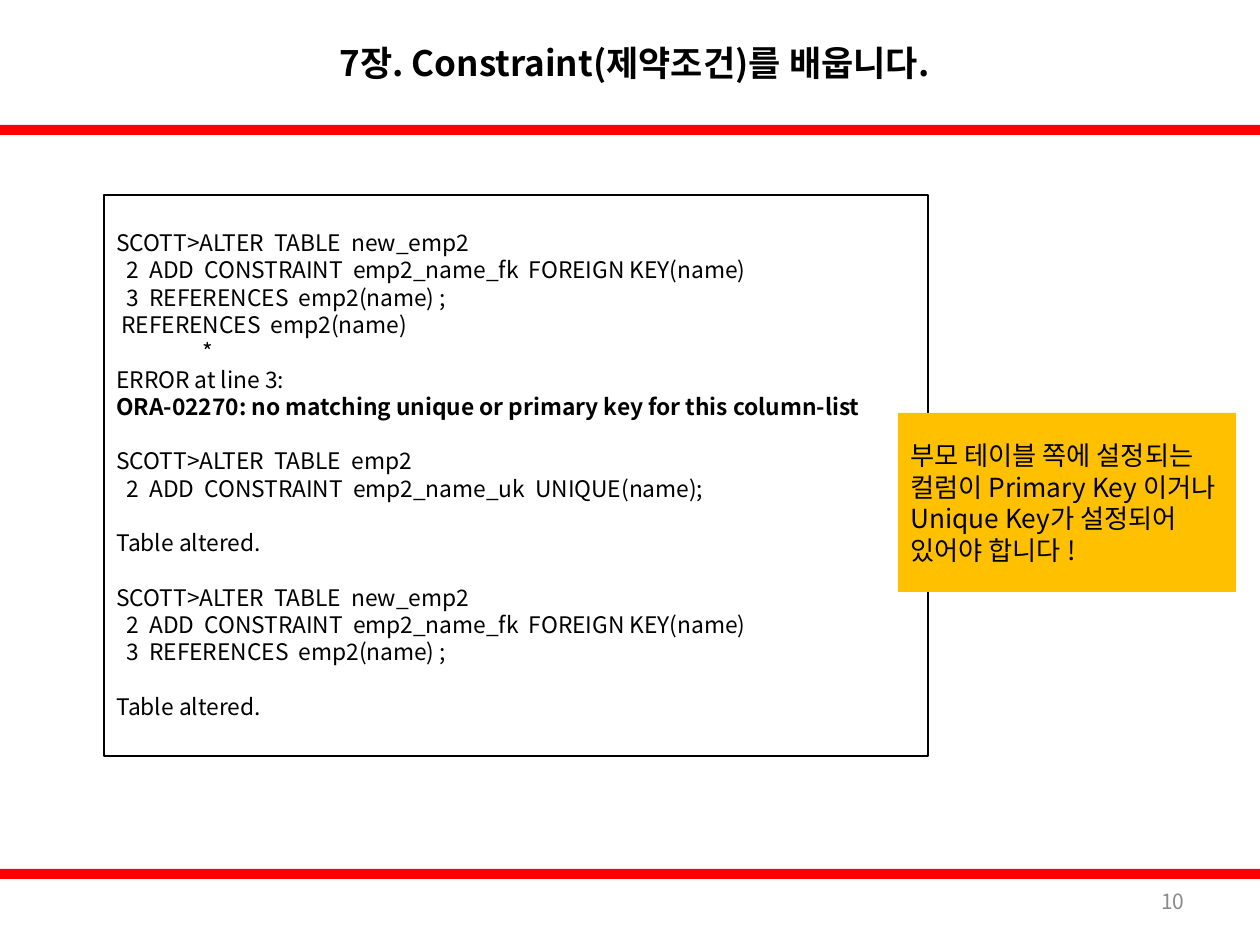
"""Build the slide on foreign key constraints with its SQL session and callout."""
from lxml.etree import SubElement
from pptx import Presentation
from pptx.dml.color import RGBColor
from pptx.enum.shapes import MSO_SHAPE as Shape
from pptx.enum.text import MSO_ANCHOR as Anchor, PP_ALIGN as Align
from pptx.oxml.ns import qn
from pptx.util import Pt

FONT = "Noto Sans CJK KR"
BLACK = RGBColor(0, 0, 0)
WHITE = RGBColor(255, 255, 255)
RED = RGBColor(255, 0, 0)
AMBER = RGBColor(255, 192, 0)
GRAY = RGBColor(140, 140, 140)
SCALE = 914400 / 126


def px(*lengths):
    return [round(length * SCALE) for length in lengths]


def write(paragraph, text, size, color=BLACK, bold=False, align=Align.LEFT, before=0, pitch=None):
    paragraph.alignment = align
    paragraph.space_before = Pt(before)
    paragraph.line_spacing = pitch and Pt(pitch)
    run = paragraph.add_run()
    run.text = text
    run.font.name = FONT
    run.font.size = Pt(size)
    run.font.bold = bold
    run.font.color.rgb = color
    SubElement(run.font._element, qn("a:ea"), typeface=FONT)


prs = Presentation()
prs.slide_width, prs.slide_height = px(1260, 945)
slide = prs.slides.add_slide(prs.slide_layouts[6])
shapes = slide.shapes

for top in (125, 869):
    bar = shapes.add_shape(Shape.RECTANGLE, *px(0, top, 1260, 10))
    bar.shadow.inherit = False
    bar.fill.solid()
    bar.fill.fore_color.rgb = RED
    bar.line.fill.background()

title = shapes.add_textbox(*px(213, 0, 843, 125)).text_frame
title.word_wrap = True
title.vertical_anchor = Anchor.MIDDLE
write(title.paragraphs[0], "7장. Constraint(제약조건)를 배웁니다.", size=20, bold=True, align=Align.CENTER)

page_number = shapes.add_textbox(*px(903, 876, 294, 50)).text_frame
page_number.word_wrap = True
page_number.vertical_anchor = Anchor.MIDDLE
write(page_number.paragraphs[0], "10", size=12, color=GRAY, align=Align.RIGHT)

session = shapes.add_shape(Shape.RECTANGLE, *px(104, 195, 824, 561))
session.shadow.inherit = False
session.fill.solid()
session.fill.fore_color.rgb = WHITE
session.line.color.rgb = BLACK
session.line.width = Pt(0.75)

ADD_FOREIGN_KEY = [
    "SCOTT>ALTER  TABLE  new_emp2",
    "  2  ADD  CONSTRAINT  emp2_name_fk  FOREIGN KEY(name)",
    "  3  REFERENCES  emp2(name) ;",
]
ERROR = "ORA-02270: no matching unique or primary key for this column-list"
BLOCKS = [
    ADD_FOREIGN_KEY + [
        " REFERENCES  emp2(name)",
        "                 *",
        "ERROR at line 3:",
        ERROR,
    ],
    [
        "SCOTT>ALTER  TABLE  emp2",
        "  2  ADD  CONSTRAINT  emp2_name_uk  UNIQUE(name);",
    ],
    ["Table altered."],
    ADD_FOREIGN_KEY,
    ["Table altered."],
]
LINE_PITCH = 15.6

code = session.text_frame
code.word_wrap = True
code.vertical_anchor = Anchor.TOP
code.margin_top, = px(34)
for block_index, block in enumerate(BLOCKS):
    for line_index, line in enumerate(block):
        starts_block = line_index == 0 and block_index > 0
        first = block_index == line_index == 0
        paragraph = code.paragraphs[0] if first else code.add_paragraph()
        write(paragraph, line, size=13, bold=line == ERROR, align=Align.JUSTIFY,
              before=LINE_PITCH if starts_block else 0, pitch=LINE_PITCH)

callout = shapes.add_shape(Shape.RECTANGLE, *px(898, 413, 338, 179))
callout.shadow.inherit = False
callout.fill.solid()
callout.fill.fore_color.rgb = AMBER
callout.line.fill.background()
advice = callout.text_frame
advice.word_wrap = True
advice.vertical_anchor = Anchor.MIDDLE
write(advice.paragraphs[0],
      "부모 테이블 쪽에 설정되는 컬럼이 Primary Key 이거나 Unique Key가 설정되어 있어야 합니다 !",
      size=15, pitch=18)

prs.save("out.pptx")
